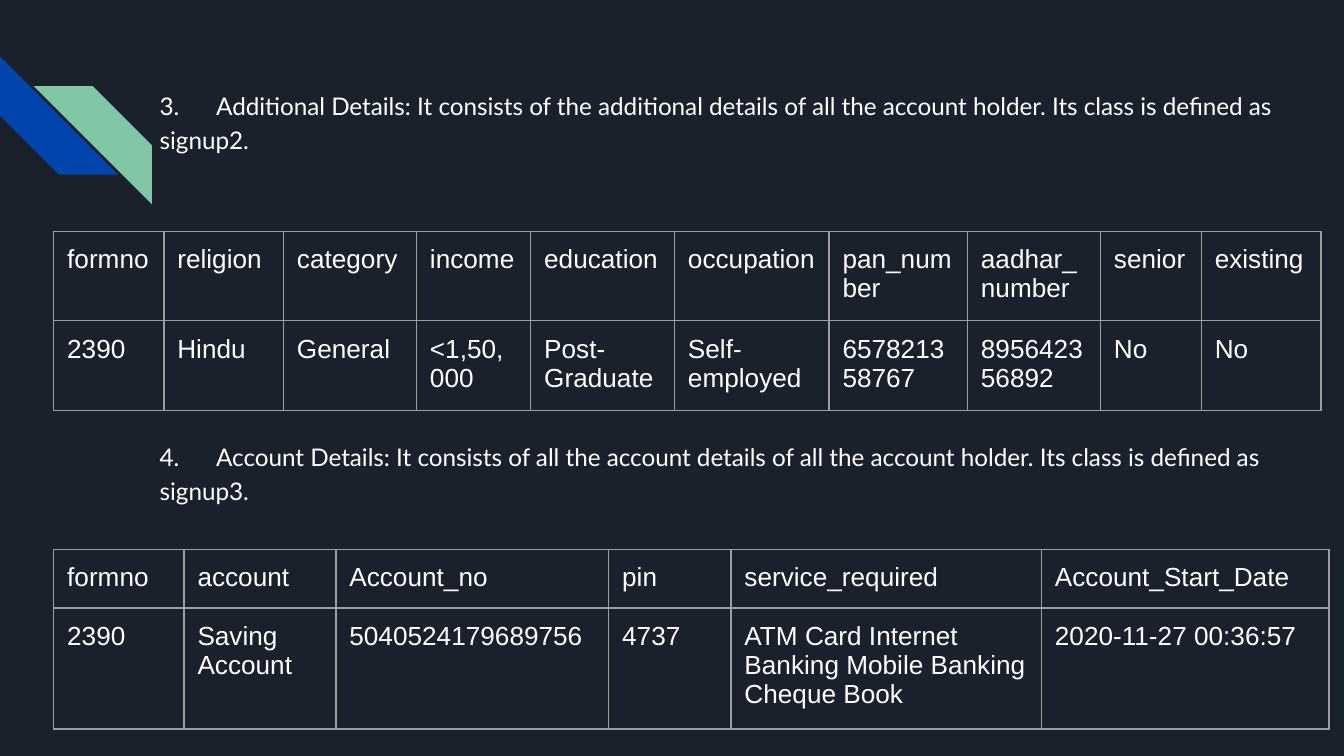
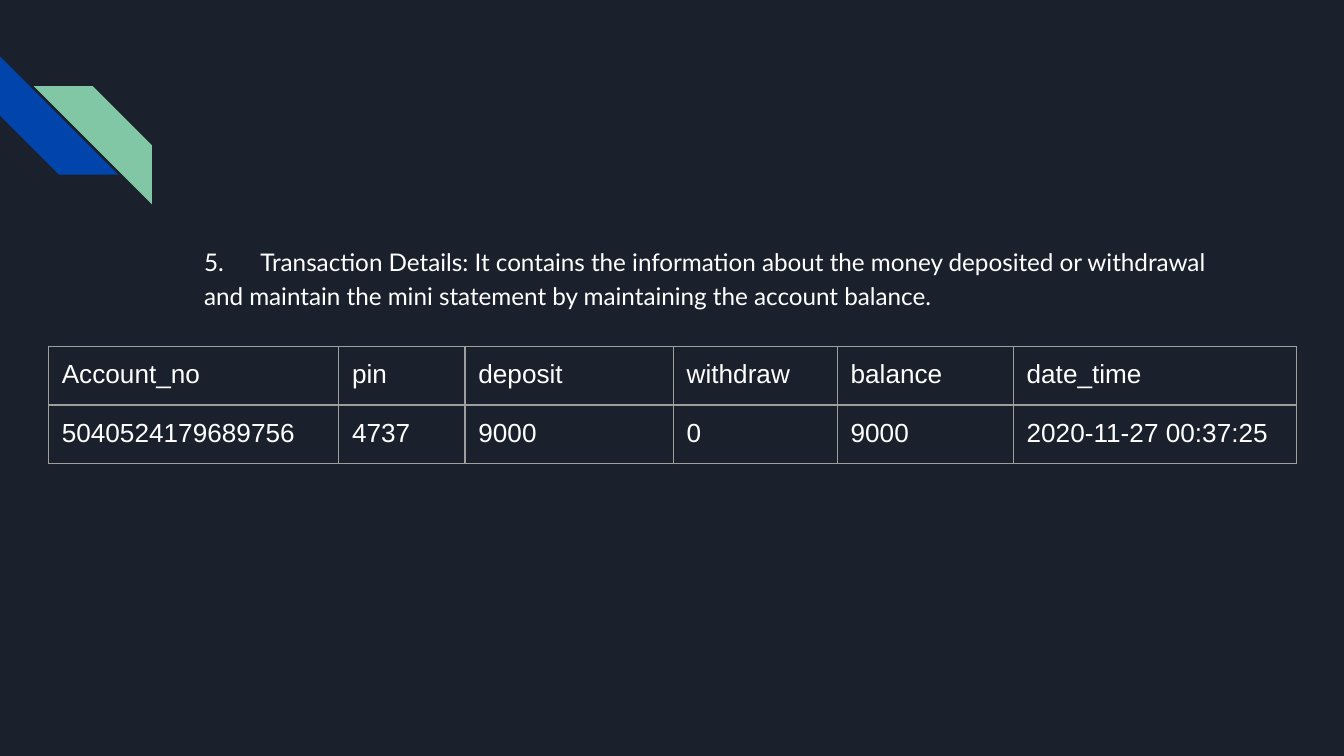
from dataclasses import dataclass

from lxml import etree
from pptx import Presentation
from pptx.dml.color import RGBColor
from pptx.enum.shapes import MSO_SHAPE
from pptx.oxml.ns import qn
from pptx.util import Inches, Pt

DIAGONAL_STRIPE = MSO_SHAPE.DIAGONAL_STRIPE
BLANK_LAYOUT = 6
PLAIN_TABLE_STYLE = "{2D5ABB26-0587-4C30-8999-92F81FD0307C}"


@dataclass(frozen=True)
class Theme:
    background: str = "1B212C"
    blue: str = "0145AC"
    green: str = "82C7A5"
    text: str = "FFFFFF"
    border: str = "9E9E9E"
    note_font: str = "Lato"
    table_font: str = "Arial"
    note_size: int = 13
    table_size: int = 14
    border_width: float = 0.75
    note_spacing: float = 1.15
    table_spacing: float = 1.0
    inset: float = 0.1
    number_tab: float = 0.42
    row_height: float = 0.42


THEME = Theme()

# Left, top, size, rotation, mirrored, colour
STRIPES = [
    (0, 0.42, 0.88, 270, False, THEME.blue),
    (0.25, 0.64, 0.88, 0, True, THEME.green),
]

SLIDES = [
    {
        "notes": {
            "box": (1.09, 0.55, 8.6, 4.8),
            "gap": 152,
            "items": [
                "3.\tAdditional Details: It consists of the additional details of all "
                "the account holder. Its class is defined as signup2.",
                "4.\tAccount Details: It consists of all the account details of all "
                "the account holder. Its class is defined as signup3.",
            ],
        },
        "tables": [
            {
                "position": (0.4, 1.72),
                "widths": [0.82, 0.89, 0.99, 0.85, 1.07, 1.15, 1.03, 0.99, 0.75, 0.89],
                "rows": [
                    ["formno", "religion", "category", "income", "education",
                     "occupation", "pan_number", "aadhar_number", "senior", "existing"],
                    ["2390", "Hindu", "General", "<1,50,000", "Post-Graduate",
                     "Self-employed", "657821358767", "895642356892", "No", "No"],
                ],
            },
            {
                "position": (0.4, 4.09),
                "widths": [0.97, 1.13, 2.03, 0.91, 2.31, 2.14],
                "rows": [
                    ["formno", "account", "Account_no", "pin", "service_required",
                     "Account_Start_Date"],
                    ["2390", "Saving Account", "5040524179689756", "4737",
                     "ATM Card Internet Banking Mobile Banking Cheque Book",
                     "2020-11-27 00:36:57"],
                ],
            },
        ],
    },
    {
        "notes": {
            "box": (1.42, 1.71, 7.7, 3.18),
            "gap": 0,
            "items": [
                "5.\tTransaction Details: It contains the information about the money "
                "deposited or withdrawal and maintain the mini statement by "
                "maintaining the account balance.",
            ],
        },
        "tables": [
            {
                "position": (0.36, 2.58),
                "widths": [2.16, 0.94, 1.55, 1.22, 1.31, 2.11],
                "rows": [
                    ["Account_no", "pin", "deposit", "withdraw", "balance", "date_time"],
                    ["5040524179689756", "4737", "9000", "0", "9000",
                     "2020-11-27 00:37:25"],
                ],
            },
        ],
    },
]


def color(value):
    return RGBColor.from_string(value)


def set_margins(target):
    """Apply the shared inset to a text frame or a table cell."""
    for side in ("left", "top", "right", "bottom"):
        setattr(target, f"margin_{side}", Inches(THEME.inset))


def format_paragraph(paragraph, font_name, size, spacing):
    paragraph.line_spacing = spacing
    for run in paragraph.runs:
        run.font.size = Pt(size)
        run.font.color.rgb = color(THEME.text)
        run.font.name = font_name
        for script in ("ea", "cs"):
            etree.SubElement(
                run._r.get_or_add_rPr(), qn(f"a:{script}"), typeface=font_name)


def add_stripes(slide):
    for left, top, size, rotation, mirrored, fill in STRIPES:
        shape = slide.shapes.add_shape(
            DIAGONAL_STRIPE, Inches(left), Inches(top), Inches(size), Inches(size))
        shape.adjustments[0] = 0.5
        shape.rotation = rotation
        shape.shadow.inherit = False
        shape.fill.solid()
        shape.fill.fore_color.rgb = color(fill)
        shape.line.fill.background()
        if mirrored:
            shape._element.spPr.find(qn("a:xfrm")).set("flipH", "1")


def add_number_tab(paragraph):
    """Place the text after the number at a fixed tab stop."""
    tabs = etree.SubElement(paragraph._p.get_or_add_pPr(), qn("a:tabLst"))
    etree.SubElement(tabs, qn("a:tab"), pos=str(Inches(THEME.number_tab)), algn="l")


def add_notes(slide, notes):
    box = slide.shapes.add_textbox(*map(Inches, notes["box"]))
    frame = box.text_frame
    frame.word_wrap = True
    set_margins(frame)
    frame.text = "\n".join(notes["items"])
    for index, paragraph in enumerate(frame.paragraphs):
        format_paragraph(paragraph, THEME.note_font, THEME.note_size, THEME.note_spacing)
        paragraph.space_before = Pt(notes["gap"] if index else 0)
        add_number_tab(paragraph)


def add_borders(cell):
    properties = cell._tc.get_or_add_tcPr()
    for side in ("lnL", "lnR", "lnT", "lnB"):
        line = etree.SubElement(
            properties, qn(f"a:{side}"), w=str(Pt(THEME.border_width)))
        fill = etree.SubElement(line, qn("a:solidFill"))
        etree.SubElement(fill, qn("a:srgbClr"), val=THEME.border)


def add_table(slide, content):
    rows, widths = content["rows"], content["widths"]
    left, top = content["position"]
    table = slide.shapes.add_table(
        len(rows), len(widths), Inches(left), Inches(top),
        Inches(sum(widths)), Inches(THEME.row_height * len(rows))).table
    table.first_row = False
    table.horz_banding = False
    table._tbl.tblPr.find(qn("a:tableStyleId")).text = PLAIN_TABLE_STYLE
    for column, width in zip(table.columns, widths):
        column.width = Inches(width)
    for row, values in zip(table.rows, rows):
        for cell, value in zip(row.cells, values):
            cell.text = value
            set_margins(cell)
            add_borders(cell)
            cell.fill.background()
            format_paragraph(cell.text_frame.paragraphs[0], THEME.table_font,
                             THEME.table_size, THEME.table_spacing)


def main():
    presentation = Presentation()
    presentation.slide_width = Inches(10)
    presentation.slide_height = presentation.slide_width * 9 // 16
    background = presentation.slide_master.background.fill
    background.solid()
    background.fore_color.rgb = color(THEME.background)
    for content in SLIDES:
        slide = presentation.slides.add_slide(presentation.slide_layouts[BLANK_LAYOUT])
        add_stripes(slide)
        add_notes(slide, content["notes"])
        for table in content["tables"]:
            add_table(slide, table)
    presentation.save("out.pptx")


if __name__ == "__main__":
    main()
